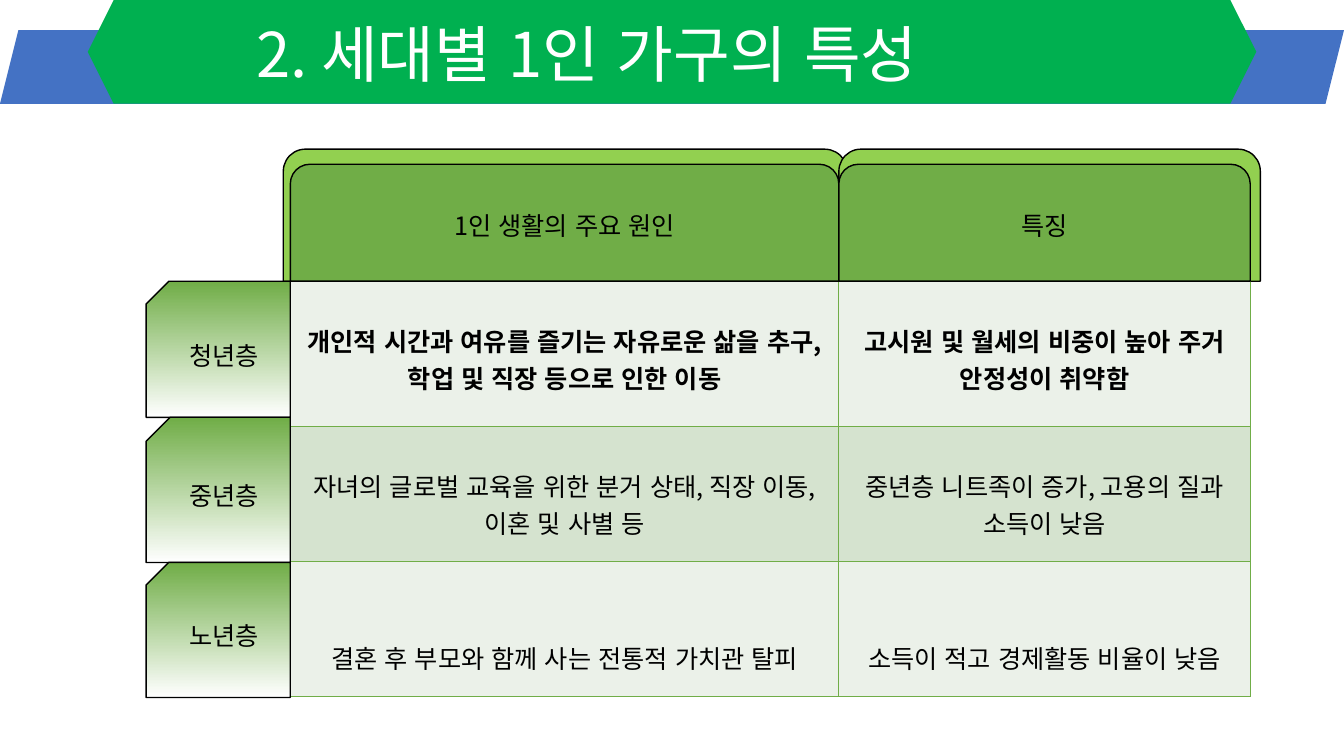
from dataclasses import dataclass
from itertools import accumulate

from lxml import etree
from pptx import Presentation
from pptx.dml.color import RGBColor
from pptx.enum.lang import MSO_LANGUAGE_ID
from pptx.enum.shapes import MSO_SHAPE
from pptx.enum.text import MSO_ANCHOR, MSO_AUTO_SIZE, PP_ALIGN
from pptx.oxml.ns import qn
from pptx.util import Inches, Pt

LEFT, CENTER = PP_ALIGN.LEFT, PP_ALIGN.CENTER
MIDDLE, TOP = MSO_ANCHOR.MIDDLE, MSO_ANCHOR.TOP
KOREAN = MSO_LANGUAGE_ID.KOREAN
TAB, SNIP = MSO_SHAPE.ROUND_2_SAME_RECTANGLE, MSO_SHAPE.SNIP_1_RECTANGLE
BAND, HEX = MSO_SHAPE.PARALLELOGRAM, MSO_SHAPE.HEXAGON


@dataclass(frozen=True)
class Theme:
    font: str = "Noto Sans CJK KR"
    title: int = 44
    body: int = 18
    line: float = 0.36  # height of one body line, inches
    ink: str = "000000"
    white: str = "FFFFFF"
    blue: str = "4472C4"
    green: str = "00B050"
    lime: str = "92D050"
    leaf: str = "70AD47"
    bands: tuple = ("EBF1E9", "D5E3CF")


THEME = Theme()
WIDE, HIGH = 13.33, 7.5

# Grid, in inches
LABEL_X, LABEL_W = 1.45, 1.43
GRID_X, GRID_Y = LABEL_X + LABEL_W, 2.79
COLS = (5.44, 4.08)
ROWS = (1.44, 1.34, 1.34)
STEPS = (1.35, 1.44, 1.34)
HEAD_H, BACK_H = 1.16, 1.31

HEADS = ("1인 생활의 주요 원인", "특징")
LABELS = ("청년층", "중년층", "노년층")
CELLS = (
    ("개인적 시간과 여유를 즐기는 자유로운 삶을 추구,학업 및 직장 등으로 인한 이동",
     "고시원 및 월세의 비중이 높아 주거 안정성이 취약함"),
    ("자녀의 글로벌 교육을 위한 분거 상태, 직장 이동, 이혼 및 사별 등",
     "중년층 니트족이 증가, 고용의 질과 소득이 낮음"),
    ("결혼 후 부모와 함께 사는 전통적 가치관 탈피",
     "소득이 적고 경제활동 비율이 낮음"),
)
DROPS = (1, 1, 2)  # lines of space above the text in each row


def color(code):
    return RGBColor.from_string(code)


def write(frame, text, size=THEME.body, ink=THEME.ink, bold=False, align=CENTER):
    para = frame.paragraphs[0]
    para.alignment = align
    run = para.add_run()
    run.text = text
    font = run.font
    font.size, font.bold, font.name = Pt(size), bold, THEME.font
    font.color.rgb = color(ink)
    font.language_id = KOREAN
    east = etree.Element(qn("a:ea"), typeface=THEME.font)
    run._r.rPr.find(qn("a:latin")).addnext(east)


def block(slide, kind, box, fill, edge=None, text=None):
    shape = slide.shapes.add_shape(kind, *map(Inches, box))
    shape.shadow.inherit = False
    if isinstance(fill, tuple):
        shape.fill.gradient()
        shape.fill.gradient_angle = 270
        for stop, code in zip(shape.fill.gradient_stops, fill):
            stop.color.rgb = color(code)
    else:
        shape.fill.solid()
        shape.fill.fore_color.rgb = color(fill)
    if edge:
        shape.line.color.rgb = color(edge)
        shape.line.width = Pt(1)
    else:
        shape.line.fill.background()
    if text:
        shape.text_frame.word_wrap = True
        shape.text_frame.vertical_anchor = MIDDLE
        write(shape.text_frame, text)
    return shape


def banner(slide, text):
    block(slide, BAND, (0, 0.04 * HIGH, WIDE, 0.73), THEME.blue)
    block(slide, HEX, (0.87, 0, WIDE - 2 * 0.87, 1.03), THEME.green)
    title = slide.shapes.title
    title.left, title.top, title.width, title.height = map(
        Inches, (2.3, 0.1, 9.06, 0.84))
    frame = title.text_frame
    frame.auto_size = MSO_AUTO_SIZE.NONE
    frame.vertical_anchor = MIDDLE
    frame.margin_left = Inches(0.24)
    write(frame, text, size=THEME.title, ink=THEME.white, align=LEFT)
    slide.shapes._spTree.append(title._element)  # bring to front


def border(cell):
    props = cell._tc.get_or_add_tcPr()
    for spot, side in enumerate(("lnL", "lnR", "lnT", "lnB")):
        line = etree.Element(qn("a:" + side), w=str(Pt(1)))
        fill = etree.SubElement(line, qn("a:solidFill"))
        etree.SubElement(fill, qn("a:srgbClr"), val=THEME.leaf)
        props.insert(spot, line)


def grid(slide):
    box = map(Inches, (GRID_X, GRID_Y, sum(COLS), sum(ROWS)))
    table = slide.shapes.add_table(len(ROWS), len(COLS), *box).table
    table.first_row = table.horz_banding = False
    for col, width in zip(table.columns, COLS):
        col.width = Inches(width)
    for i, (row, height) in enumerate(zip(table.rows, ROWS)):
        row.height = Inches(height)
        for cell, text in zip(row.cells, CELLS[i]):
            cell.fill.solid()
            cell.fill.fore_color.rgb = color(THEME.bands[i % 2])
            cell.vertical_anchor = TOP
            cell.margin_top = Inches(0.05 + DROPS[i] * THEME.line)
            write(cell.text_frame, text, bold=i == 0)
            border(cell)


def labels(slide):
    tops = accumulate(STEPS[:-1], initial=GRID_Y)
    for text, top, step in zip(LABELS, tops, STEPS):
        box = (LABEL_X, top, LABEL_W, step)
        shape = block(slide, SNIP, box, (THEME.leaf, THEME.white),
                      THEME.ink, text)
        shape._element.spPr.xfrm.set("flipH", "1")


def main():
    deck = Presentation()
    deck.slide_width, deck.slide_height = Inches(WIDE), Inches(HIGH)
    slide = deck.slides.add_slide(deck.slide_layouts[5])

    # Rear tabs reach past the outer edges of the columns
    split = GRID_X + COLS[0]
    for left, width in ((GRID_X - 0.07, 5.59), (split, 4.18)):
        block(slide, TAB, (left, 1.48, width, BACK_H), THEME.lime, THEME.ink)

    banner(slide, "2. 세대별 1인 가구의 특성")
    grid(slide)
    labels(slide)

    # Column heads
    for text, left, width in zip(HEADS, (GRID_X, split), COLS):
        box = (left, GRID_Y - HEAD_H, width, HEAD_H)
        block(slide, TAB, box, THEME.leaf, THEME.ink, text)

    deck.save("out.pptx")


if __name__ == "__main__":
    main()
